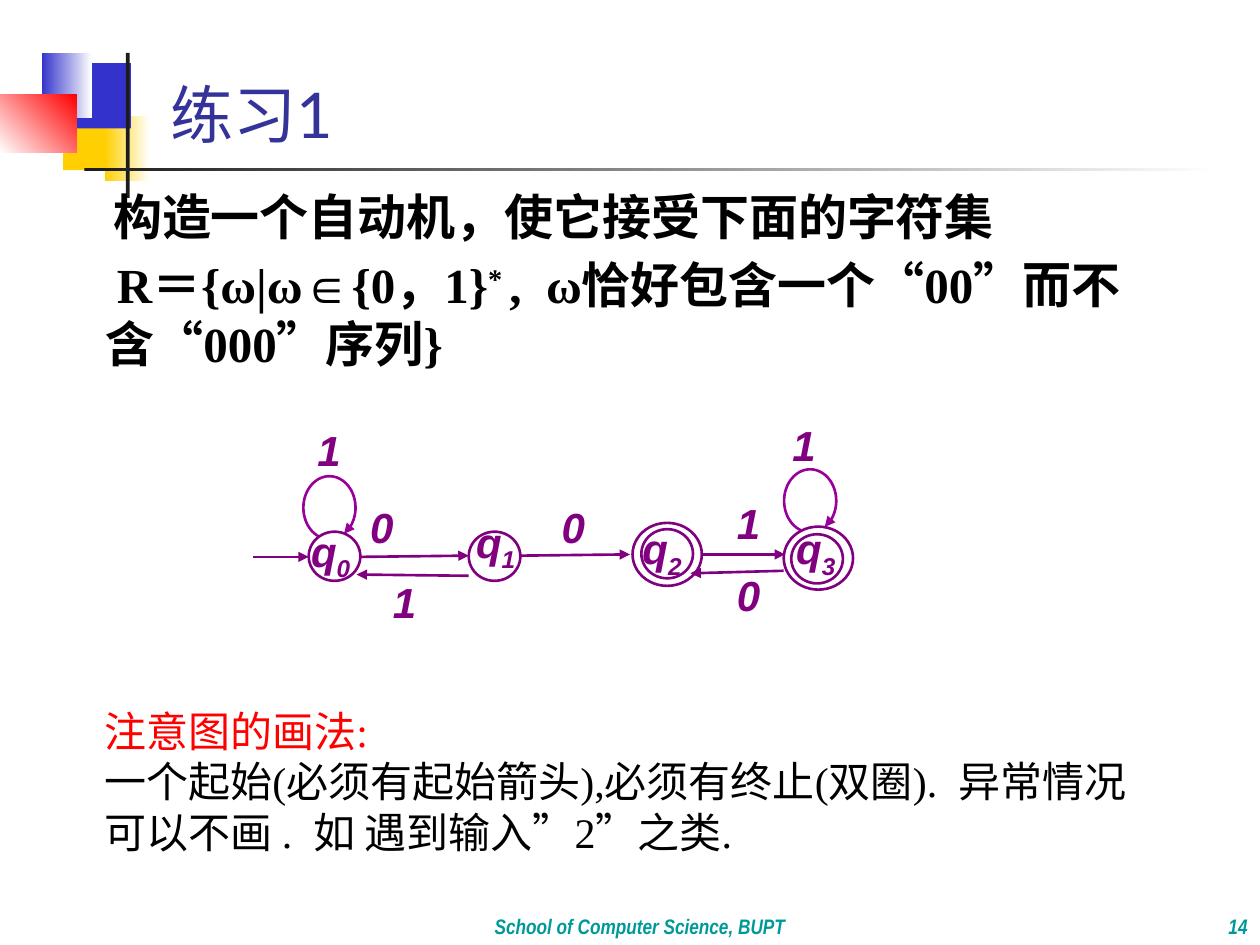
from math import cos, radians, sin

from lxml import etree
from pptx import Presentation
from pptx import util as u
from pptx.dml.color import RGBColor
from pptx.enum import shapes, text
from pptx.oxml.ns import qn

# Theme: colours, type styles, line width
COLOR = dict(yellow="FFCF01", blue="3333CC", red="FF0000", dark="1C1C1C", white="FFFFFF",
             title="333399", black="000000", footer="009999", state="800080", loop="990099")
STYLE = {
    "title": dict(size=36, name="Lato", color="title", bold=False),
    "task": dict(size=28, name="Times New Roman", color="black", bold=True),
    "footer": dict(size=12, name="Arial Narrow", color="footer", bold=True, italic=True),
    "state": dict(size=24, name="Arial", color="state", bold=True, italic=True),
    "alert": dict(size=24, name="Times New Roman", color="red"),
    "note": dict(size=24, name="Times New Roman", color="black"),
}
LINE_WIDTH = u.Pt(1.5)

# Content: all places are columns and rows of a 100 x 75 grid
TITLE = "练习1"
TASK = [
    [("构造一个自动机，使它接受下面的字符集", 0)],
    [("R＝{ω|ω∈{0，1}", 0), ("* ", 30), (",  ω恰好包含一个“00”而不含“000”序列}", 0)],
]
TASK_INDENTS = [(4.4, 0), (3.8, 0.9)]  # left margin, first line
NOTES = [
    ("注意图的画法:", "alert"),
    ("一个起始(必须有起始箭头),必须有终止(双圈).  异常情况可以不画 .  如 遇到输入”2”之类.", "note"),
]
FOOTERS = [("School of Computer Science, BUPT", (15.8, 70, 70, 5), "CENTER", 1.1),
           ("14", (83.3, 70, 16.7, 5), "RIGHT", 1.0)]
ORNAMENTS = [  # box, colours, gradient angle
    ((5, 8.3, 4.8, 5.2), ["yellow"], 0),
    ((8.3, 9.2, 3.6, 5.2), ["yellow", "white"], 0),
    ((5.8, 5, 4.6, 5.2), ["blue"], 0),
    ((3.3, 4.2, 4, 5.2), ["blue", "white"], 0),
    ((0, 7.5, 6.1, 4.6), ["white", "red"], 45),
    ((10, 4.2, 0.3, 11.5), ["dark"], 0),
    ((6.7, 13.3, 90, 0.3), ["dark", "white"], 0),
]
STATES = [  # index, inner circle centre, outer circle centre, label corner
    ("0", (26.55, 44.15), None, (23.7, 41.2)),
    ("1", (39.25, 44.15), None, (36.8, 40.5)),
    ("2", (52.95, 43.95), (52.95, 44), (50, 41)),
    ("3", (64.85, 44.35), (64.95, 44.3), (62.2, 41)),
]
INNER, OUTER = (4.1, 3.9), (5.5, 5)
LOOPS = [(26.15, 40.3), (64.3, 39.75)]  # centres
LOOP_RADII, LOOP_ANGLES = (2.07, 2.5), range(111, 417, 5)
ARROWS = [
    ((20.1, 44.2), (24.5, 44.2)),
    ((28.6, 44.2), (37.2, 44.1)), ((37.2, 45.7), (28.3, 45.6)),
    ((41.3, 44.1), (50, 44)),
    ((55.7, 44), (62.3, 44)), ((62.2, 45.3), (54.8, 45.5)),
]
INPUTS = [("1", 24.2, 33.2), ("0", 28.4, 39.3), ("1", 30.2, 45.3), ("0", 43.6, 39.3),
          ("1", 57.5, 39), ("0", 57.5, 44.7), ("1", 61.9, 32.8)]

deck = Presentation()
deck.slide_width, deck.slide_height = u.Inches(10), u.Inches(7.5)
COL, ROW = deck.slide_width / 100, deck.slide_height / 75
slide = deck.slides.add_slide(deck.slide_layouts[5])


def rgb(name):
    return RGBColor.from_string(COLOR[name])


def grid(x, y):
    return round(x * COL), round(y * ROW)


def place(x, y, w, h):
    return *grid(x, y), *grid(w, h)


def write(paragraph, words, style, baseline=0):
    run = paragraph.add_run()
    run.text = words
    for key, value in STYLE[style].items():
        if key == "color":
            run.font.color.rgb = rgb(value)
        else:
            setattr(run.font, key, u.Pt(value) if key == "size" else value)
    if baseline:
        run._r.get_or_add_rPr().set("baseline", str(baseline * 1000))


def add_frame(box):
    frame = slide.shapes.add_textbox(*place(*box)).text_frame
    frame.word_wrap = True
    return frame


def paragraphs(frame, count):
    return [frame.paragraphs[0]] + [frame.add_paragraph() for _ in range(count - 1)]


def add_block(preset, box, colours, angle=0, outline=None):
    block = slide.shapes.add_shape(preset, *place(*box))
    finish(block, colours, angle, outline)


def finish(block, colours, angle=0, outline=None):
    block.shadow.inherit = False
    if len(colours) == 1:
        block.fill.solid()
        block.fill.fore_color.rgb = rgb(colours[0])
    else:
        block.fill.gradient()
        block.fill.gradient_angle = angle
        for stop, colour in zip(block.fill.gradient_stops, colours):
            stop.color.rgb = rgb(colour)
    if outline:
        block.line.color.rgb, block.line.width = rgb(outline), LINE_WIDTH
    else:
        block.line.fill.background()


def add_head(line):
    etree.SubElement(line.line._get_or_add_ln(), qn("a:tailEnd"), type="triangle")


# Corner ornament and rule
for box, colours, angle in ORNAMENTS:
    add_block(shapes.MSO_SHAPE.RECTANGLE, box, colours, angle)

# Title
title = slide.shapes.title
title.left, title.top, title.width, title.height = place(12.5, 3.3, 85.2, 9.2)
title.text_frame.auto_size = text.MSO_AUTO_SIZE.NONE
title.text_frame.vertical_anchor = text.MSO_ANCHOR.BOTTOM
heading = title.text_frame.paragraphs[0]
heading.alignment = text.PP_ALIGN.LEFT
write(heading, TITLE, "title")

# Task
task = paragraphs(add_frame((3.6, 14.3, 93.3, 21.7)), len(TASK))
for i, (line, parts, (margin, first)) in enumerate(zip(task, TASK, TASK_INDENTS)):
    props = line._p.get_or_add_pPr()
    props.set("marL", str(round(margin * COL)))
    props.set("indent", str(round(first * COL)))
    if i:
        line.space_before = u.Pt(5.6)
    for words, baseline in parts:
        write(line, words, "task", baseline)

# Automaton: loops, states, arrows, labels
for cx, cy in LOOPS:
    rx, ry = LOOP_RADII
    points = [grid(cx + rx * cos(radians(a)), cy + ry * sin(radians(a))) for a in LOOP_ANGLES]
    builder = slide.shapes.build_freeform(*points[0])
    builder.add_line_segments(points[1:], close=False)
    loop = builder.convert_to_shape()
    finish(loop, ["white"], outline="loop")
    add_head(loop)

for index, inner, outer, corner in STATES:
    for centre, (w, h) in ((outer, OUTER), (inner, INNER)):
        if centre:
            box = (centre[0] - w / 2, centre[1] - h / 2, w, h)
            add_block(shapes.MSO_SHAPE.OVAL, box, ["white"], outline="state")
    label = add_frame((*corner, 5.9, 5)).paragraphs[0]
    write(label, "q", "state")
    write(label, index, "state", -25)

for start, end in ARROWS:
    arrow = slide.shapes.add_connector(shapes.MSO_CONNECTOR.STRAIGHT, *grid(*start), *grid(*end))
    arrow.line.color.rgb, arrow.line.width = rgb("state"), LINE_WIDTH
    add_head(arrow)
    etree.SubElement(arrow._element.spPr, qn("a:effectLst"))

for symbol, x, y in INPUTS:
    write(add_frame((x, y, 4, 5)).paragraphs[0], symbol, "state")

# Notes
notes = paragraphs(add_frame((7.3, 55.5, 85.9, 13.1)), len(NOTES))
for line, (words, style) in zip(notes, NOTES):
    write(line, words, style)

# Footer
for words, box, align, spacing in FOOTERS:
    frame = add_frame(box)
    frame.vertical_anchor = text.MSO_ANCHOR.BOTTOM
    line = frame.paragraphs[0]
    line.alignment, line.line_spacing = getattr(text.PP_ALIGN, align), spacing
    write(line, words, "footer")

deck.save("out.pptx")
